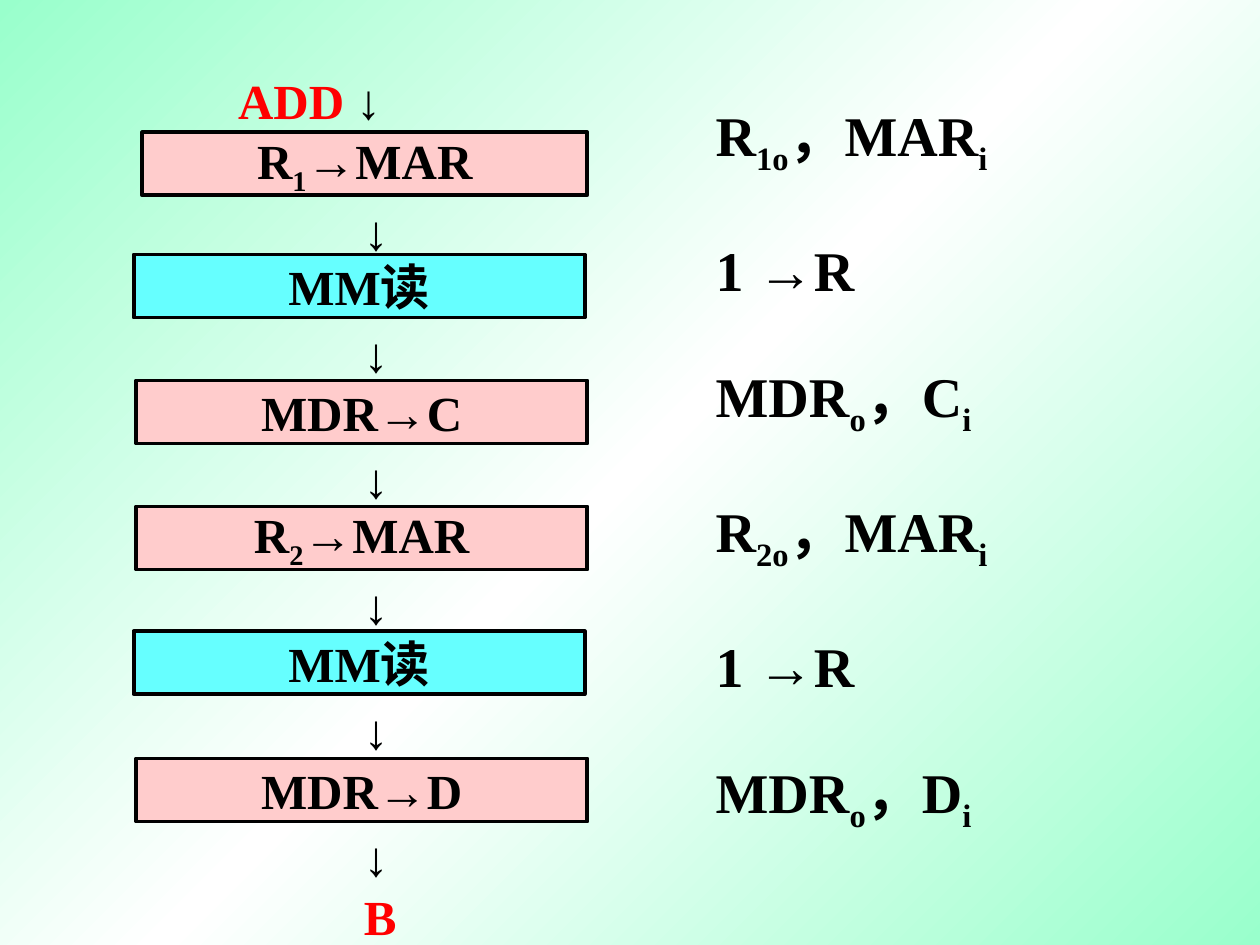
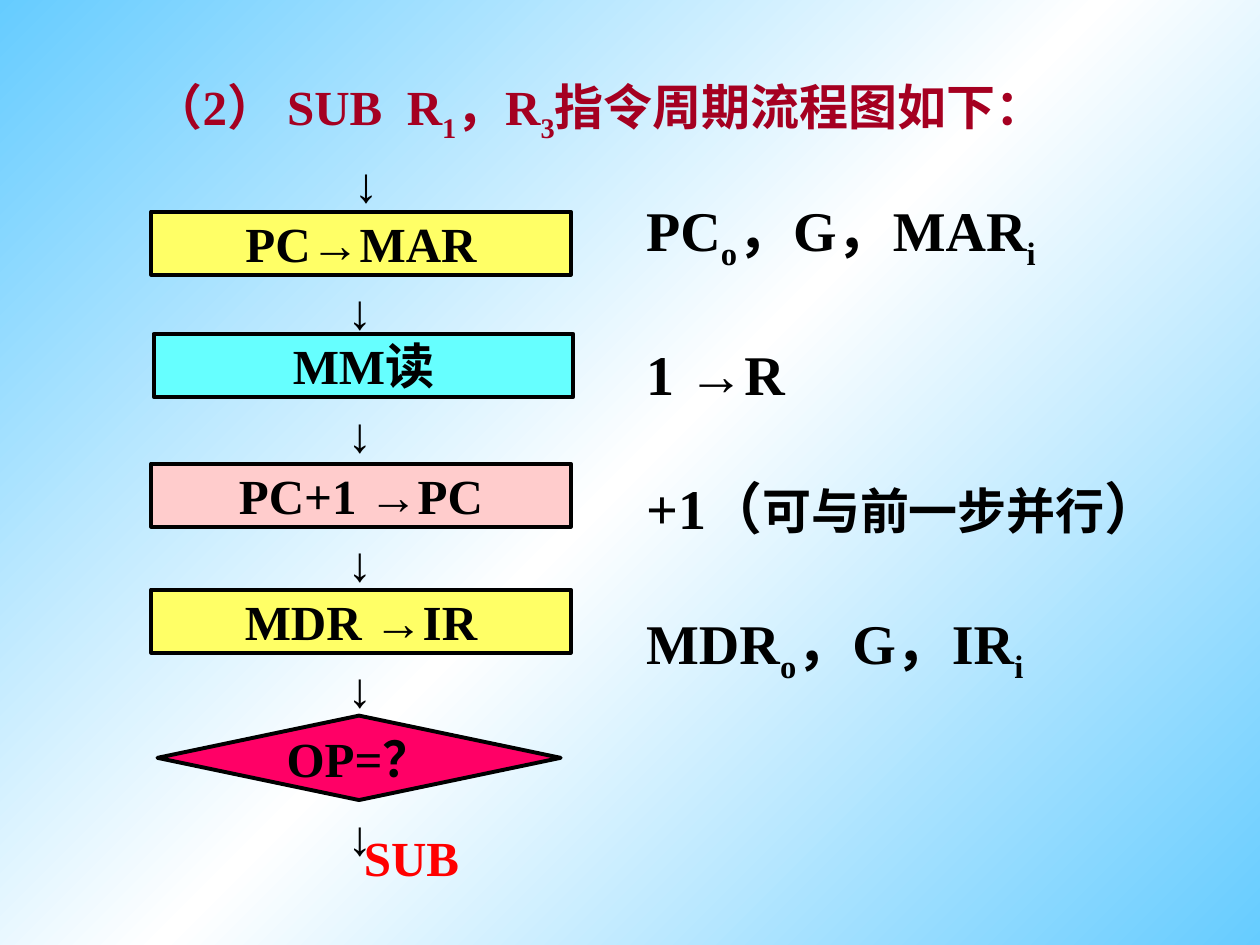
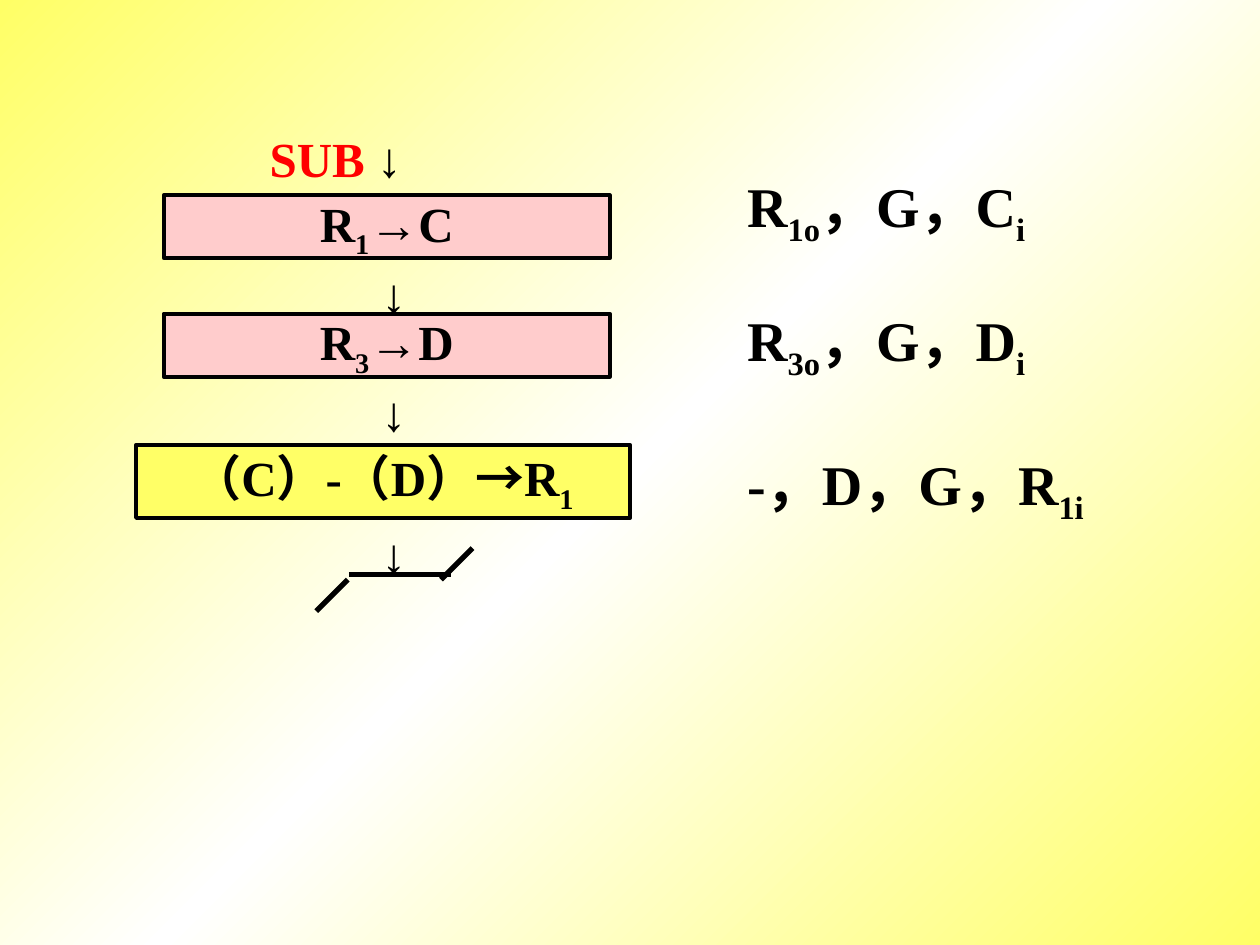
from collections import namedtuple
from copy import deepcopy
from dataclasses import dataclass
from itertools import groupby

from lxml.etree import SubElement
from pptx import Presentation
from pptx.dml.color import RGBColor
from pptx.enum.shapes import MSO_CONNECTOR, MSO_SHAPE
from pptx.enum.text import MSO_ANCHOR, MSO_AUTO_SIZE, PP_ALIGN
from pptx.oxml.ns import qn
from pptx.util import Inches, Pt

Box = namedtuple("Box", "left top width height")


@dataclass(frozen=True)
class Theme:
    """Colours, fonts and sizes shared by the slides."""

    ink: str = "000000"
    white: str = "FFFFFF"
    red: str = "FF0000"
    heading: str = "A50021"
    pink: str = "FFCCCC"
    cyan: str = "66FFFF"
    yellow: str = "FFFF66"
    magenta: str = "FF0066"
    mint: str = "99FFCC"
    sky: str = "66CCFF"
    text_font: str = "Times New Roman"
    arrow_font: str = "Arial"
    body_size: int = 28
    signal_size: int = 32
    outline: float = 2.25
    break_line: float = 3


THEME = Theme()


@dataclass(frozen=True)
class Step:
    """One flowchart step, placed from the corner of its column."""

    text: str
    fill: str
    drop: float
    shift: float = 0
    width: float = 0
    height: float = 0.5
    shape: MSO_SHAPE = MSO_SHAPE.FLOWCHART_PROCESS


def colour(value):
    """Turn a hex value into a colour."""
    return RGBColor.from_string(value)


def inches(box):
    """Give the four lengths of a box."""
    return [Inches(length) for length in box]


def script_kind(letter):
    """Sort a letter into arrow, han or plain."""
    if letter in "→↓":
        return "arrow"
    return "han" if "一" <= letter <= "龥" else "plain"


def write_line(para, text, size, ink=THEME.ink):
    """Write text whose ~marked~ parts are subscripts, with arrows in ink."""
    for index, part in enumerate(text.split("~")):
        for kind, letters in groupby(part, script_kind):
            span = para.add_run()
            span.text = "".join(letters)
            font = span.font
            font.name = THEME.arrow_font if kind == "arrow" else THEME.text_font
            font.size = Pt(THEME.body_size if kind == "han" else size)
            font.bold = True
            font.color.rgb = colour(THEME.ink if kind == "arrow" else ink)
            if index % 2:
                span._r.get_or_add_rPr().set("baseline", "-25000")


def write_lines(frame, lines, gaps):
    """Write signal lines with the given gaps between them."""
    for index, line in enumerate(lines):
        para = frame.add_paragraph() if index else frame.paragraphs[0]
        para.alignment = PP_ALIGN.LEFT
        if index:
            para.space_before = Pt(gaps[index - 1])
        write_line(para, line, THEME.signal_size)


def add_label(page, box, text, ink=THEME.ink, wrap=False, indent=0.1):
    """Add a line of body text."""
    frame = page.shapes.add_textbox(*inches(box)).text_frame
    frame.word_wrap = wrap
    frame.auto_size = MSO_AUTO_SIZE.SHAPE_TO_FIT_TEXT
    frame.margin_left = Inches(indent)
    write_line(frame.paragraphs[0], text, THEME.body_size, ink)


def add_page(deck, tint):
    """Add a title-only slide with a diagonal gradient."""
    page = deck.slides.add_slide(deck.slide_layouts[5])
    fill = page.background.fill
    fill.gradient()
    fill.gradient_angle = 135
    stop_list = page.element.find(".//" + qn("a:gsLst"))
    stop_list.insert(1, deepcopy(stop_list[0]))
    stops = zip(fill.gradient_stops, (0, 0.5, 1), (tint, THEME.white, tint))
    for stop, position, value in stops:
        stop.position = position
        stop.color.rgb = colour(value)
    return page


def place_title(page, box):
    """Move the title and give its text frame."""
    title = page.shapes.title
    title.left, title.top, title.width, title.height = inches(box)
    frame = title.text_frame
    frame.auto_size = MSO_AUTO_SIZE.NONE
    frame.word_wrap = True
    frame.vertical_anchor = MSO_ANCHOR.MIDDLE
    frame.paragraphs[0].alignment = PP_ALIGN.LEFT
    return frame


def add_step(page, box, step):
    """Draw one step and give its bottom edge."""
    top = box.top + step.drop
    place = Box(box.left + step.shift, top, step.width or box.width, step.height)
    shape = page.shapes.add_shape(step.shape, *inches(place))
    shape.shadow.inherit = False
    shape.fill.solid()
    shape.fill.fore_color.rgb = colour(step.fill)
    shape.line.color.rgb = colour(THEME.ink)
    shape.line.width = Pt(THEME.outline)
    frame = shape.text_frame
    frame.word_wrap = False
    frame.vertical_anchor = MSO_ANCHOR.MIDDLE
    frame.paragraphs[0].alignment = PP_ALIGN.CENTER
    write_line(frame.paragraphs[0], step.text, THEME.body_size)
    return top + step.height


def flow_column(page, box, steps, arrow_shift, exit_label=""):
    """Stack the steps with an arrow below each one."""
    left = box.left + arrow_shift
    for step in steps:
        bottom = add_step(page, box, step)
        if exit_label and step is steps[-1]:
            place = Box(left, bottom, 0.71, 0.57)
            add_label(page, place, "↓ " + exit_label, THEME.red, wrap=True)
        else:
            add_label(page, Box(left, bottom, 0.35, 0.57), "↓")


def entry_label(page, box, name):
    """Name the branch that enters the column."""
    add_label(page, box, name + " ↓", THEME.red, wrap=True, indent=0.97)


def end_mark(page, box):
    """Draw the broken line that closes the flow."""
    middle = box.top + 0.21
    tick = 0.25
    right = box.left + box.width
    bottom = box.top + box.height
    segments = [
        (box.left + 0.26, middle, right - 0.17, middle),
        (box.left + tick, bottom - tick, box.left, bottom),
        (right, box.top, right - tick, box.top + tick),
    ]
    for segment in segments:
        line = page.shapes.add_connector(MSO_CONNECTOR.STRAIGHT, *inches(segment))
        line.line.color.rgb = colour(THEME.ink)
        line.line.width = Pt(THEME.break_line)
        SubElement(line._element.spPr, qn("a:effectLst"))


def add_branch_page(deck):
    """Build the ADD branch."""
    page = add_page(deck, THEME.mint)
    signals = ["R~1o~，MAR~i~", "1 →R", "MDR~o~，C~i~",
               "R~2o~，MAR~i~", "1 →R", "MDR~o~，D~i~"]
    frame = place_title(page, Box(5.58, 0.92, 3.42, 5.58))
    write_lines(frame, signals, [33.5] * 5)
    entry_label(page, Box(0.92, 0.51, 3.08, 0.57), "ADD")
    steps = [
        Step("R~1~→MAR", THEME.pink, 0, 0.05, 3.53),
        Step("MM读", THEME.cyan, 0.97, -0.02),
        Step("MDR→C", THEME.pink, 1.97),
        Step("R~2~→MAR", THEME.pink, 2.97),
        Step("MM读", THEME.cyan, 3.96, -0.02),
        Step("MDR→D", THEME.pink, 4.97),
    ]
    flow_column(page, Box(1.08, 1.05, 3.58, 5.47), steps, 1.71, "B")


def subtract_cycle_page(deck):
    """Build the fetch cycle of SUB."""
    page = add_page(deck, THEME.sky)
    frame = place_title(page, Box(0.42, 0.5, 9.17, 0.75))
    frame.margin_left = Inches(0.8)
    heading = "（2） SUB  R~1~，R~3~指令周期流程图如下："
    write_line(frame.paragraphs[0], heading, THEME.body_size, THEME.heading)
    add_label(page, Box(2.71, 1.17, 0.35, 0.57), "↓")
    steps = [
        Step("PC→MAR", THEME.yellow, 0),
        Step("MM读", THEME.cyan, 0.97, 0.02),
        Step("PC+1 →PC", THEME.pink, 2),
        Step("MDR →IR", THEME.yellow, 3),
        Step("OP=？", THEME.magenta, 4, 0.05, 3.2, 0.67,
             MSO_SHAPE.FLOWCHART_DECISION),
    ]
    flow_column(page, Box(1.2, 1.68, 3.33, 4.67), steps, 1.46)
    add_label(page, Box(2.79, 6.52, 1.1, 0.57), "SUB", THEME.red, wrap=True)
    signals = ["PC~o~，G，MAR~i~", "1 →R", "+1（可与前一步并行）", "MDR~o~，G，IR~i~"]
    notes = page.shapes.add_textbox(*inches(Box(5.03, 1.5, 4.39, 3.98)))
    notes.text_frame.word_wrap = False
    write_lines(notes.text_frame, signals, [39, 38, 38.5])


def subtract_branch_page(deck):
    """Build the SUB branch."""
    page = add_page(deck, THEME.yellow)
    frame = place_title(page, Box(5.83, 1.24, 3.33, 3.06))
    write_lines(frame, ["R~1o~，G，C~i~", "R~3o~，G，D~i~", "-，D，G，R~1i~"], [33, 38.5])
    entry_label(page, Box(1.17, 0.97, 3.08, 0.57), "SUB")
    steps = [
        Step("R~1~→C", THEME.pink, 0),
        Step("R~3~→D", THEME.pink, 0.94),
        Step("（C）-（D）→R~1~", THEME.yellow, 1.98, -0.22, 3.92, 0.58),
    ]
    flow_column(page, Box(1.3, 1.55, 3.54, 2.56), steps, 1.63)
    end_mark(page, Box(2.51, 4.35, 1.24, 0.5))


def main():
    """Build and save the deck."""
    deck = Presentation()
    deck.slide_width, deck.slide_height = Inches(10), Inches(7.5)
    add_branch_page(deck)
    subtract_cycle_page(deck)
    subtract_branch_page(deck)
    deck.save("out.pptx")


if __name__ == "__main__":
    main()
